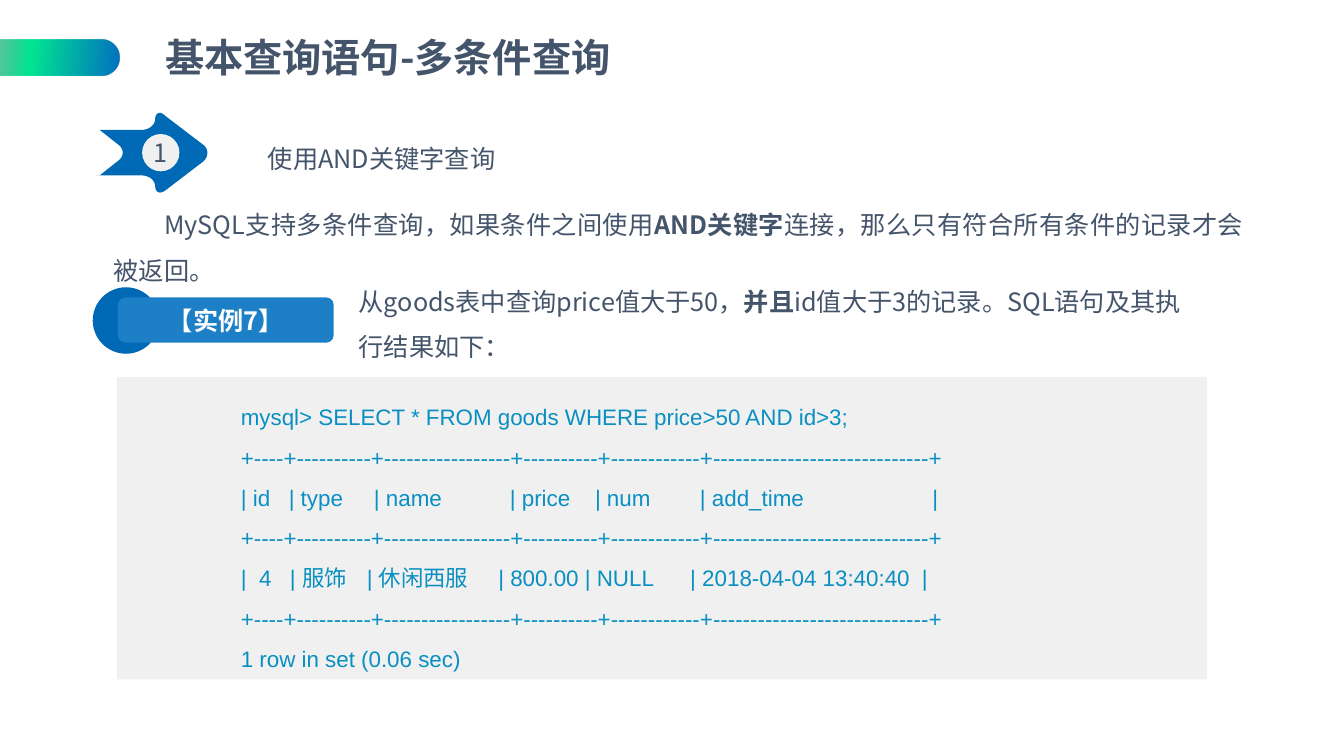
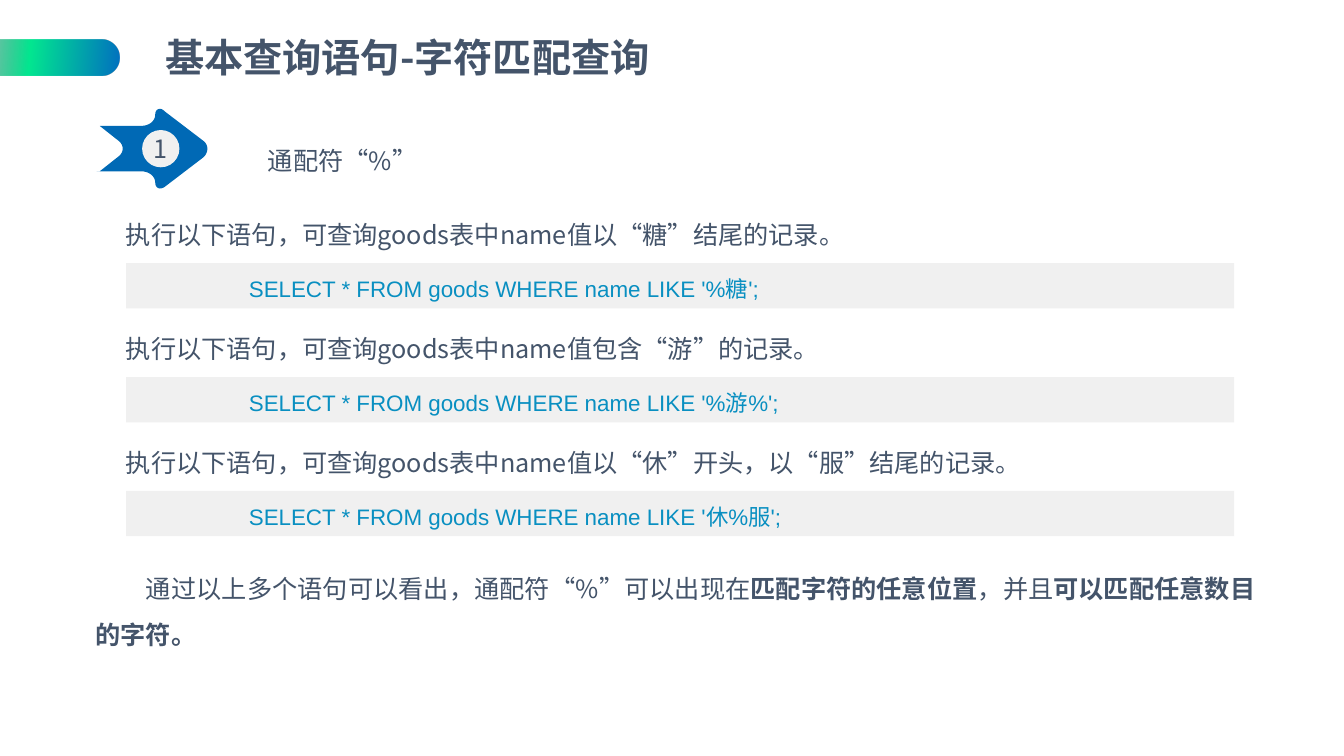
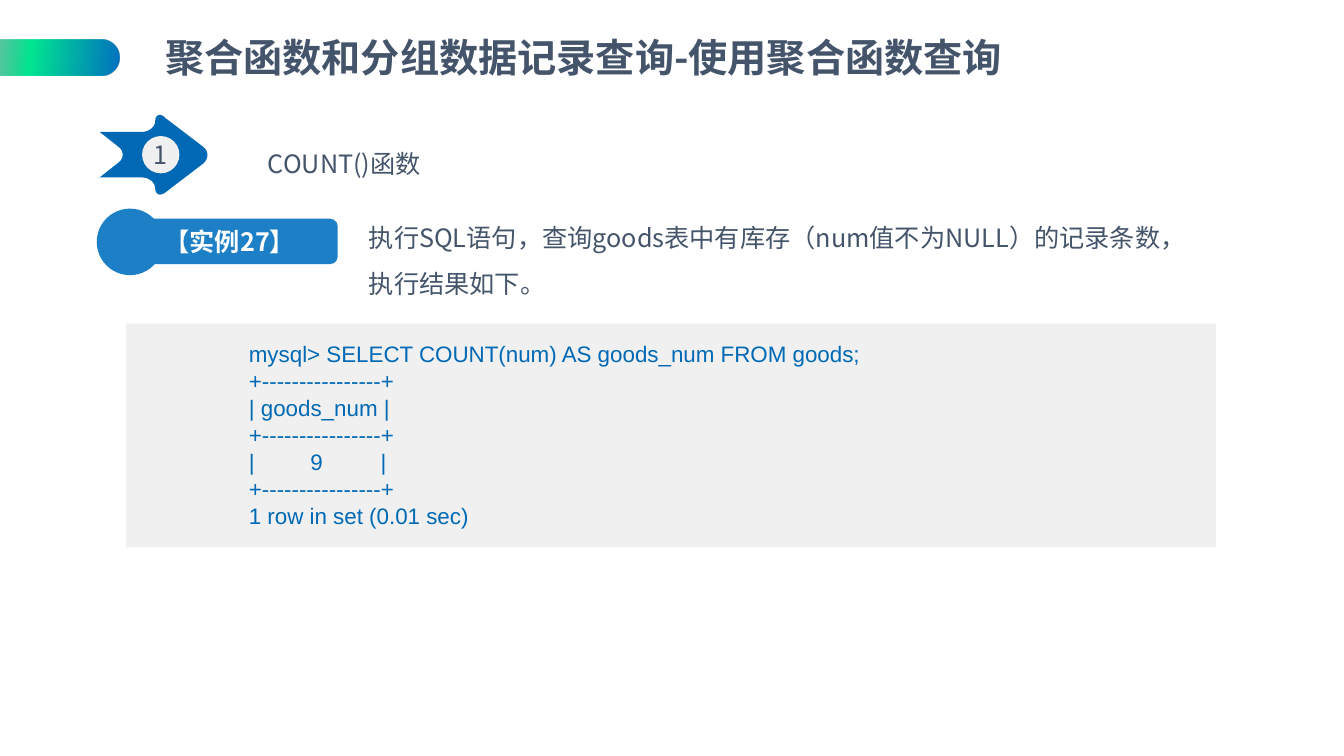
"""Build three lesson slides on SQL queries."""
from lxml.etree import SubElement
from pptx import Presentation
from pptx.dml.color import RGBColor
from pptx.enum.shapes import MSO_SHAPE
from pptx.enum.text import MSO_ANCHOR, MSO_AUTO_SIZE, PP_ALIGN
from pptx.oxml.ns import qn
from pptx.util import Inches, Pt

COLORS = {"ink": "44546A", "blue": "0069B5", "sky": "1D7FC6", "code": "098FC1",
          "panel": "F0F0F0", "white": "FFFFFF"}
CJK = "Noto Sans CJK SC"
STYLES = {
    "title": ("ink", {"name": CJK, "size": Pt(28), "bold": True}),
    "body": ("ink", {"name": CJK, "size": Pt(18)}),
    "label": ("white", {"name": CJK, "size": Pt(18), "bold": True}),
    "code": ("code", {"name": "Arial", "size": Pt(16)}),
    "code_blue": ("blue", {"name": "Arial", "size": Pt(16)}),
}
BAND_STOPS = [(0, "272D3D", 0), (52, "03E790", 100), (100, "0070C0", 100)]
BADGE_START = (0.63, 0)
BADGE_EDGES = [
    [(0.64, 0), (0.66, 0.01), (0.68, 0.03)], [(1.06, 0.32)],
    [(1.11, 0.36), (1.11, 0.43), (1.06, 0.48)], [(0.68, 0.77)],
    [(0.63, 0.81), (0.58, 0.79), (0.58, 0.73)],
    [(0.58, 0.67), (0.52, 0.62), (0.44, 0.62)],
    [(0, 0.62)], [(0.03, 0.62)], [(0.22, 0.47)],
    [(0.27, 0.43), (0.27, 0.36), (0.22, 0.32)], [(0.03, 0.17)], [(0.44, 0.17)],
    [(0.52, 0.17), (0.58, 0.12), (0.58, 0.06)],
    [(0.58, 0.02), (0.6, 0), (0.63, 0)],
]
BADGE_LEFT, CURVE_STEPS = 0.96, 8
LIKE_TOP, LIKE_STEP = 1.98, 1.13
GOODS_RULE = "+----+----------+-----------------+----------+------------+-----------------------------+"
COUNT_RULE = "+----------------+"

PAGES = [
    {
        "title": "基本查询语句-多条件查询",
        "badge": 1.12, "heading": ("使用AND关键字查询", 1.22),
        "notes": [((1.03, 1.88, 11.4, 0.96),
                   ["MySQL支持多条件查询，如果条件之间使用", "AND关键字",
                    "连接，那么只有符合所有条件的记录才会被返回。"])],
        "example": {
            "label": "【实例7】", "at": (0.92, 2.85), "dot": "blue",
            "text_at": (3.46, 2.64, 8.51, 0.96),
            "text": ["从goods表中查询price值大于50，", "并且",
                     "id值大于3的记录。SQL语句及其执行结果如下："],
        },
        "listing": {
            "panel": (1.16, 3.74, 10.81, 3), "at": (2.29, 3.82, 9.38, 2.93),
            "style": "code", "spacing": 1.5,
            "lines": ["mysql> SELECT * FROM goods WHERE price>50 AND id>3;",
                      GOODS_RULE,
                      "| id   | type     | name           | price    | num        | add_time\t              |",
                      GOODS_RULE,
                      "|  4   | 服饰    | 休闲西服      | 800.00 | NULL      | 2018-04-04 13:40:40  |",
                      GOODS_RULE,
                      "1 row in set (0.06 sec)"],
        },
    },
    {
        "title": "基本查询语句-字符匹配查询",
        "badge": 1.08, "heading": ("通配符“%”", 1.24),
        "likes": [
            ("执行以下语句，可查询goods表中name值以“糖”结尾的记录。",
             "SELECT * FROM goods WHERE name LIKE '%糖';"),
            ("执行以下语句，可查询goods表中name值包含“游”的记录。",
             "SELECT * FROM goods WHERE name LIKE '%游%';"),
            ("执行以下语句，可查询goods表中name值以“休”开头，以“服”结尾的记录。",
             "SELECT * FROM goods WHERE name LIKE '休%服';"),
        ],
        "notes": [((0.85, 5.49, 11.7, 0.96),
                   ["通过以上多个语句可以看出，通配符“%”可以出现在", "匹配字符的任意位置",
                    "，并且", "可以匹配任意数目的字符。"])],
    },
    {
        "title": "聚合函数和分组数据记录查询-使用聚合函数查询",
        "badge": 1.14, "heading": ("COUNT()函数", 1.27),
        "example": {
            "label": "【实例27】", "at": (0.96, 2.07), "dot": "sky",
            "text_at": (3.56, 2.01, 8.51, 0.96),
            "text": ["执行SQL语句，查询goods表中有库存（num值不为NULL）的记录条数，执行结果如下。"],
        },
        "listing": {
            "panel": (1.25, 3.21, 10.81, 2.22), "at": (2.37, 3.33, 9.38, 1.99),
            "style": "code_blue", "spacing": 1.0,
            "lines": ["mysql> SELECT COUNT(num) AS goods_num FROM goods;",
                      COUNT_RULE, "| goods_num |", COUNT_RULE,
                      "|         9\t     |", COUNT_RULE, "1 row in set (0.01 sec)"],
        },
    },
]


def color(name):
    return RGBColor.from_string(COLORS[name])


def write(paragraph, pieces, style):
    """Add text pieces to a paragraph; every second piece is bold."""
    ink, formats = STYLES[style]
    for index, piece in enumerate(pieces):
        span = paragraph.add_run()
        span.text = piece
        span.font.color.rgb = color(ink)
        for name, value in formats.items():
            setattr(span.font, name, value)
        if index % 2:
            span.font.bold = True
        SubElement(span._r.get_or_add_rPr(), qn("a:ea"), typeface=CJK)


def add_text(page, at, paragraphs, style="body", spacing=1.5, indent=False, anchor=MSO_ANCHOR.TOP):
    """Add a wrapped text box, one list of pieces per paragraph."""
    frame = page.shapes.add_textbox(*map(Inches, at)).text_frame
    frame.word_wrap = True
    frame.auto_size = MSO_AUTO_SIZE.SHAPE_TO_FIT_TEXT
    frame.vertical_anchor = anchor
    for index, pieces in enumerate(paragraphs):
        paragraph = frame.add_paragraph() if index else frame.paragraphs[0]
        paragraph.line_spacing = spacing
        if indent:
            paragraph.alignment = PP_ALIGN.JUSTIFY
            properties = paragraph._p.get_or_add_pPr()
            properties.set("marL", "0")
            properties.set("indent", str(Inches(0.5)))
        write(paragraph, pieces, style)


def paint(shape, fill):
    shape.shadow.inherit = False
    shape.line.fill.background()
    shape.fill.solid()
    shape.fill.fore_color.rgb = color(fill)


def add_block(owner, kind, at, fill, label=None, style="body"):
    """Add a filled preset shape with an optional centred label."""
    shape = owner.shapes.add_shape(kind, *map(Inches, at))
    paint(shape, fill)
    if label:
        frame = shape.text_frame
        for side in ("left", "right", "top", "bottom"):
            setattr(frame, f"margin_{side}", 0)
        frame.vertical_anchor = MSO_ANCHOR.MIDDLE
        frame.paragraphs[0].alignment = PP_ALIGN.CENTER
        write(frame.paragraphs[0], [label], style)
    return shape


def add_header(page, title):
    """Add the gradient band and the title."""
    band = add_block(page, MSO_SHAPE.ROUNDED_RECTANGLE, (-0.68, 0.39, 1.86, 0.36), "blue")
    band.adjustments[0] = 0.5
    band.fill.gradient()
    band.fill.gradient_angle = 355
    stops = band._element.spPr.find(qn("a:gradFill")).find(qn("a:gsLst"))
    for stop in list(stops):
        stops.remove(stop)
    for position, value, opacity in BAND_STOPS:
        stop = SubElement(stops, qn("a:gs"), pos=str(position * 1000))
        tint = SubElement(stop, qn("a:srgbClr"), val=value)
        SubElement(tint, qn("a:alpha"), val=str(opacity * 1000))
    add_text(page, (1.54, 0.33, 9.17, 0.52), [[title]], "title", 0.9, anchor=MSO_ANCHOR.MIDDLE)


def badge_points():
    """Turn the badge's lines and curves into outline points."""
    points, start = [], BADGE_START
    for edge in BADGE_EDGES:
        if len(edge) == 1:
            points += edge
        else:
            corners = [start, *edge]
            for step in range(1, CURVE_STEPS + 1):
                t = step / CURVE_STEPS
                weights = ((1 - t) ** 3, 3 * t * (1 - t) ** 2, 3 * t ** 2 * (1 - t), t ** 3)
                points.append(tuple(sum(weight * corner[axis] for weight, corner in zip(weights, corners))
                                    for axis in (0, 1)))
        start = edge[-1]
    return points


def add_badge(page, top):
    group = page.shapes.add_group_shape()
    start, *rest = [(Inches(BADGE_LEFT + x), Inches(top + y)) for x, y in [BADGE_START, *badge_points()]]
    builder = group.shapes.build_freeform(*start)
    builder.add_line_segments(rest, close=True)
    paint(builder.convert_to_shape(), "blue")
    add_block(group, MSO_SHAPE.OVAL, (BADGE_LEFT + 0.45, top + 0.21, 0.37, 0.37), "panel", "1")


def add_example(page, example):
    left, top = example["at"]
    group = page.shapes.add_group_shape()
    add_block(group, MSO_SHAPE.OVAL, (left, top, 0.66, 0.66), example["dot"])
    add_block(group, MSO_SHAPE.ROUNDED_RECTANGLE, (left + 0.25, top + 0.1, 2.14, 0.45), "sky",
              example["label"], "label")
    add_text(page, example["text_at"], [example["text"]])


def add_listing(page, listing):
    add_block(page, MSO_SHAPE.RECTANGLE, listing["panel"], "panel")
    add_text(page, listing["at"], [[line] for line in listing["lines"]],
             listing["style"], listing["spacing"])


def main():
    deck = Presentation()
    deck.slide_width, deck.slide_height = Inches(13.33), Inches(7.5)
    for content in PAGES:
        page = deck.slides.add_slide(deck.slide_layouts[6])
        add_header(page, content["title"])
        heading, heading_top = content["heading"]
        add_text(page, (2.06, heading_top, 10.14, 0.5), [[heading]], indent=True)
        add_badge(page, content["badge"])
        for index, (purpose, query) in enumerate(content.get("likes", [])):
            top = LIKE_TOP + index * LIKE_STEP
            add_text(page, (0.65, top, 12.07, 0.5), [[purpose]], indent=True)
            add_listing(page, {"panel": (1.25, top + 0.63, 10.99, 0.45),
                               "at": (2.37, top + 0.62, 7.62, 0.42),
                               "style": "code", "spacing": Pt(25), "lines": [query]})
        for at, pieces in content.get("notes", []):
            add_text(page, at, [pieces], indent=True)
        if "example" in content:
            add_example(page, content["example"])
        if "listing" in content:
            add_listing(page, content["listing"])
    deck.save("out.pptx")


if __name__ == "__main__":
    main()
